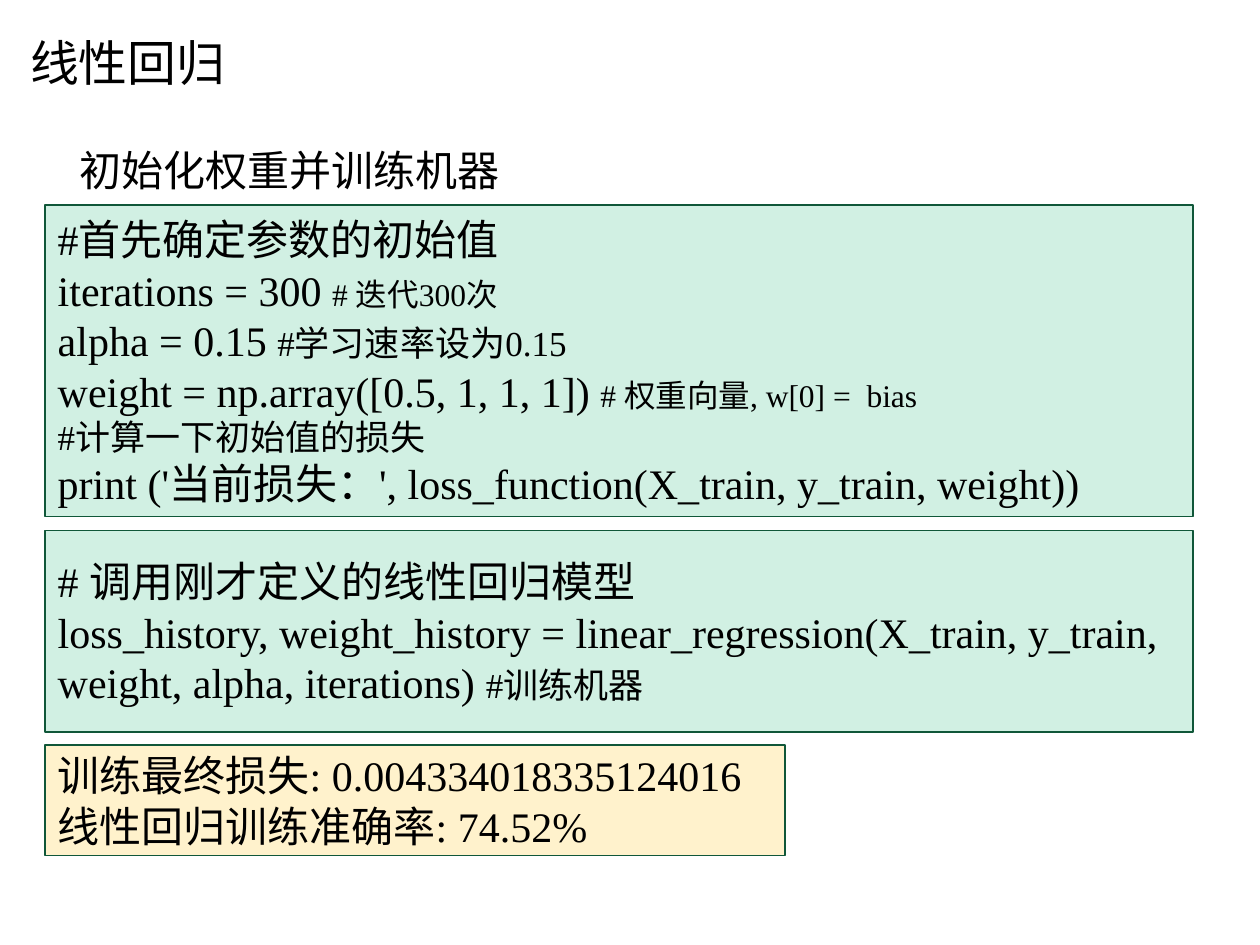
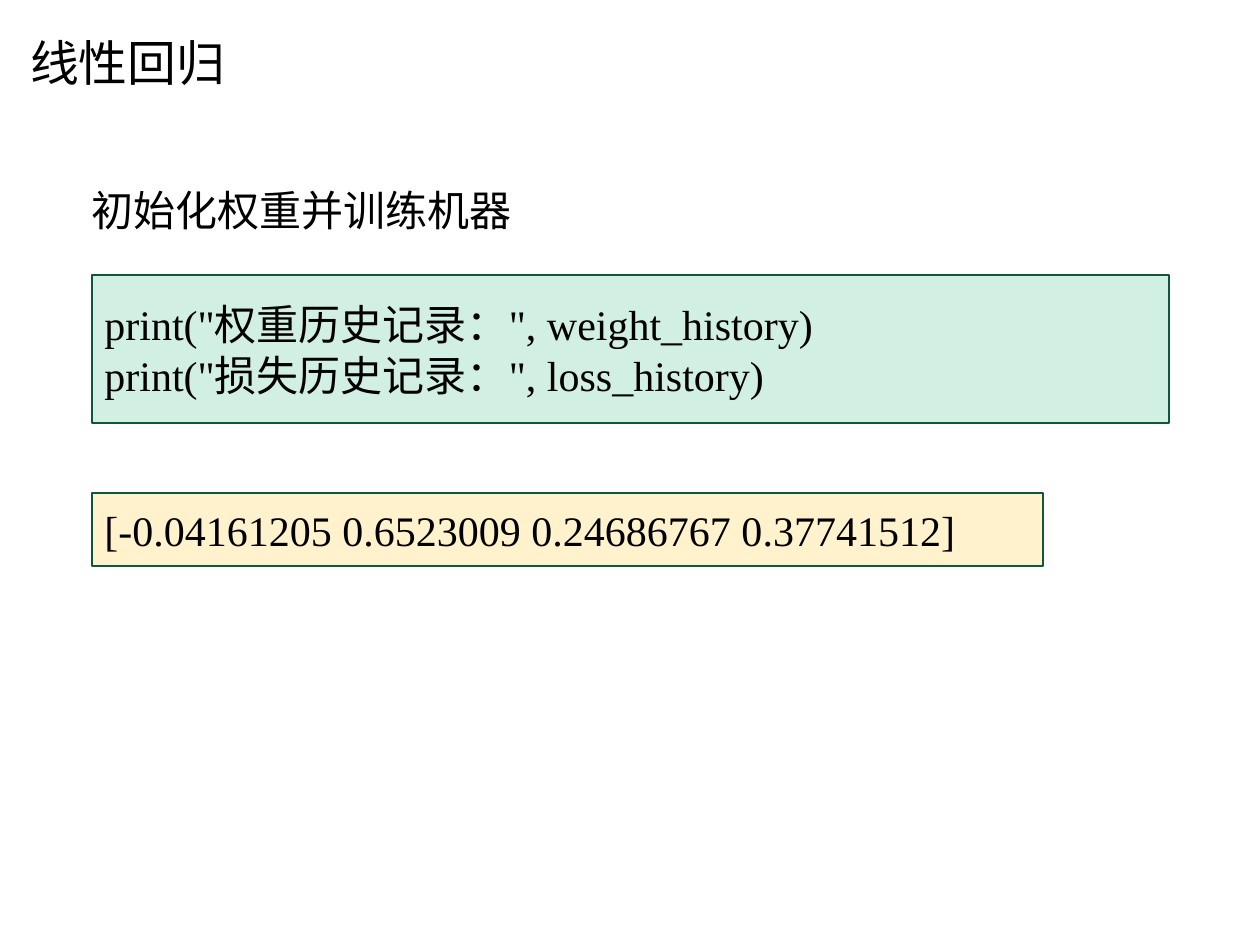
from pptx import Presentation
from pptx import util as u
from pptx.dml.color import RGBColor
from pptx.enum import shapes, text

BLACK = RGBColor(0x00, 0x00, 0x00)
CODE_FILL = RGBColor(0xD1, 0xF0, 0xE3)
OUTPUT_FILL = RGBColor(0xFF, 0xF2, 0xCC)
BORDER = RGBColor(0x10, 0x57, 0x39)
BODY_FONT, BODY_SIZE = "Times New Roman", 24
TITLE_FONT, TITLE_SIZE, TITLE_LEADING = "Noto Sans CJK SC", 27.9, 26.9
TITLE = "线性回归"
HEADING = "初始化权重并训练机器"
HEADING_WIDTH, HEADING_HEIGHT = 8.55, 0.59

# Each line is a list of (text, size) runs; each box is
# (fill, top, width, height, lines), all lengths in inches.
PAGES = [
    {
        "heading": (0.53, 1.05),
        "left": 0.36,
        "boxes": [
            (CODE_FILL, 1.63, 9.11, 2.47, [
                [("#首先确定参数的初始值", 24)],
                [("iterations = 300 ", 24), ("# 迭代300次", 18)],
                [("alpha = 0.15 ", 24), ("#学习速率设为0.15", 20)],
                [("weight = np.array([0.5, 1, 1, 1]) ", 24),
                 ("# 权重向量, w[0] =  bias", 18)],
                [("#计算一下初始值的损失", 20)],
                [("print ('当前损失：', loss_function(X_train, y_train, weight))", 24)],
            ]),
            (CODE_FILL, 4.21, 9.11, 1.6, [
                [("# 调用刚才定义的线性回归模型", 24)],
                [("loss_history, weight_history = linear_regression(X_train, y_train,", 24)],
                [("weight, alpha, iterations) ", 24), ("#训练机器", 20)],
            ]),
            (OUTPUT_FILL, 5.91, 5.87, 0.88, [
                [("训练最终损失: 0.004334018335124016", 24)],
                [("线性回归训练准确率: 74.52%", 24)],
            ]),
        ],
    },
    {
        "heading": (0.63, 1.37),
        "left": 0.73,
        "boxes": [
            (CODE_FILL, 2.18, 8.55, 1.18, [
                [('print("权重历史记录：", weight_history)', 24)],
                [('print("损失历史记录：", loss_history)', 24)],
            ]),
            (OUTPUT_FILL, 3.91, 7.55, 0.58, [
                [("[-0.04161205 0.6523009 0.24686767 0.37741512]", 24)],
            ]),
        ],
    },
]


def write_lines(shape, lines, font_name=BODY_FONT):
    """Fill a shape with left-aligned lines of (text, size) runs."""
    frame = shape.text_frame
    frame.word_wrap = True
    frame.vertical_anchor = text.MSO_ANCHOR.MIDDLE
    for index, runs in enumerate(lines):
        paragraph = frame.add_paragraph() if index else frame.paragraphs[0]
        paragraph.alignment = text.PP_ALIGN.LEFT
        paragraph.font.name = font_name
        paragraph.font.color.rgb = BLACK
        paragraph.font.size = u.Pt(runs[0][1])
        for words, size in runs:
            run = paragraph.add_run()
            run.text = words
            if size != runs[0][1]:
                run.font.size = u.Pt(size)
    return frame


presentation = Presentation()
presentation.slide_width = u.Inches(10)
presentation.slide_height = u.Inches(7.5)
blank_layout = presentation.slide_layouts[6]

for page in PAGES:
    slide = presentation.slides.add_slide(blank_layout)

    for fill, top, width, height, lines in page["boxes"]:
        box = slide.shapes.add_shape(
            shapes.MSO_SHAPE.RECTANGLE,
            *map(u.Inches, (page["left"], top, width, height)))
        box.shadow.inherit = False
        box.fill.solid()
        box.fill.fore_color.rgb = fill
        box.line.color.rgb = BORDER
        box.line.width = u.Pt(1)
        write_lines(box, lines)

    heading = slide.shapes.add_textbox(
        *map(u.Inches, (*page["heading"], HEADING_WIDTH, HEADING_HEIGHT)))
    write_lines(heading, [[(HEADING, BODY_SIZE)]])

    title = slide.shapes.add_textbox(*map(u.Inches, (0.24, 0.35, 1.57, 0.38)))
    frame = write_lines(title, [[(TITLE, TITLE_SIZE)]], TITLE_FONT)
    frame.word_wrap = False
    frame.auto_size = text.MSO_AUTO_SIZE.SHAPE_TO_FIT_TEXT
    frame.vertical_anchor = text.MSO_ANCHOR.TOP
    frame.margin_left = frame.margin_right = 0
    frame.margin_top = frame.margin_bottom = 0
    frame.paragraphs[0].line_spacing = u.Pt(TITLE_LEADING)

presentation.save("out.pptx")
